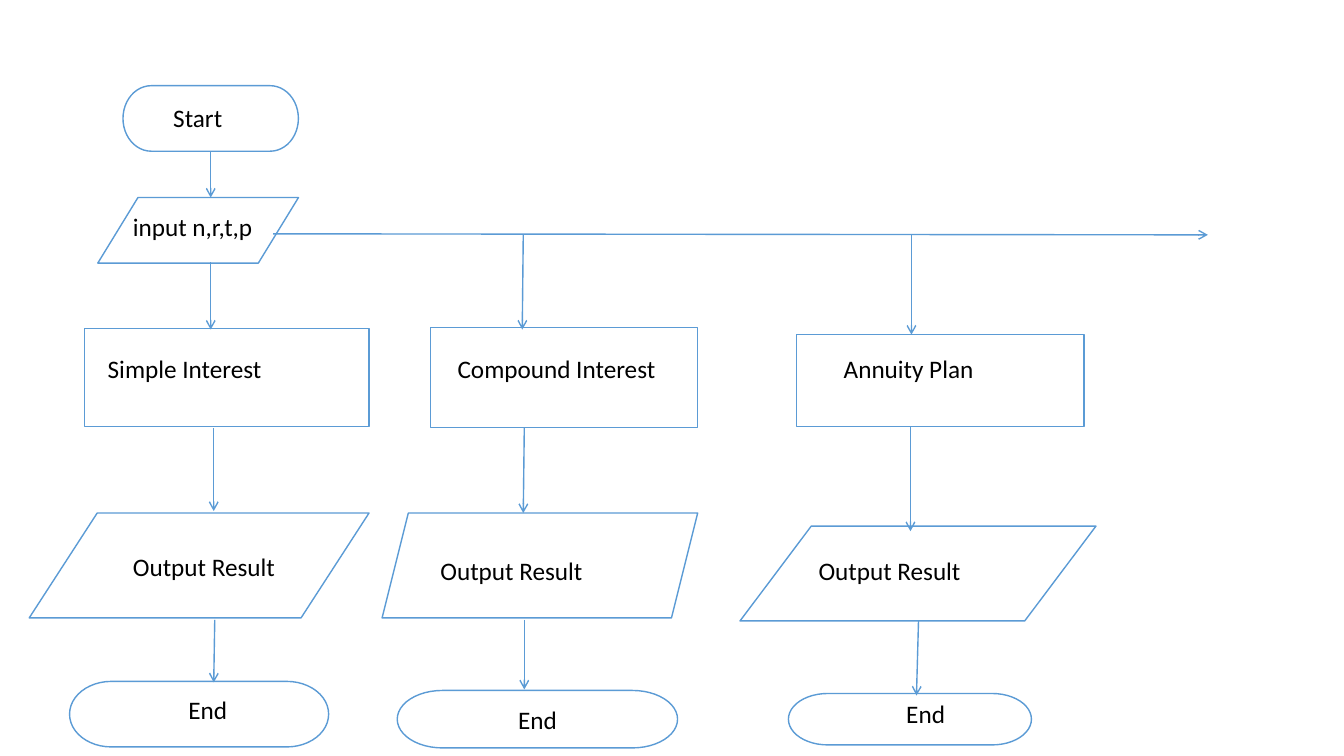
import pptx
import pptx.util
import pptx.dml.color
import pptx.enum.shapes
import pptx.enum.text
import pptx.oxml.ns
import lxml.etree

Inches = pptx.util.Inches
KIND = pptx.enum.shapes.MSO_SHAPE
BLUE = "5B9BD5"
BLACK = "000000"

# Each branch: node kind, node box, label (None when centred in the node), arrow to the next node
BRANCHES = [
    [
        (KIND.RECTANGLE, (0.84, 3.26, 2.82, 0.97), "Simple Interest", (0.97, 3.46), (2.12, 4.25, 2.12, 5.07)),
        (KIND.FLOWCHART_DATA, (0.29, 5.09, 3.37, 1.04), "Output Result", (1.22, 5.42), (2.13, 6.15, 2.12, 6.77)),
        (KIND.FLOWCHART_TERMINATOR, (0.69, 6.76, 2.57, 0.65), "End", (1.77, 6.84), None),
    ],
    [
        (KIND.RECTANGLE, (4.27, 3.25, 2.65, 0.99), "Compound Interest", (4.44, 3.46), (5.2, 4.24, 5.19, 5.09)),
        (KIND.PARALLELOGRAM, (3.79, 5.09, 3.13, 1.04), "Output Result", (4.27, 5.46), (5.2, 6.15, 5.2, 6.84)),
        (KIND.FLOWCHART_TERMINATOR, (3.94, 6.85, 2.78, 0.57), "End", None, None),
    ],
    [
        (KIND.RECTANGLE, (7.9, 3.32, 2.85, 0.91), "Annuity Plan", (8.27, 3.46), (9.03, 4.23, 9.03, 5.27)),
        (KIND.FLOWCHART_DATA, (7.34, 5.22, 3.53, 0.94), "Output Result", (8.02, 5.46), (9.11, 6.16, 9.09, 6.9)),
        (KIND.FLOWCHART_TERMINATOR, (7.82, 6.88, 2.41, 0.51), "End", (8.89, 6.88), None),
    ],
]


def color(code):
    return pptx.dml.color.RGBColor.from_string(code)


def outline(item):
    item.line.color.rgb = color(BLUE)
    item.line.width = pptx.util.Pt(1)


def write(frame, text):
    frame.word_wrap = True
    run = frame.paragraphs[0].add_run()
    run.text = text
    run.font.size = pptx.util.Pt(18)
    run.font.name = "Calibri"
    run.font.color.rgb = color(BLACK)


def add_label(slide, text, spot):
    box = slide.shapes.add_textbox(*map(Inches, spot), Inches(4.44), Inches(0.4))
    write(box.text_frame, text)


def add_node(slide, kind, box, text, spot):
    """Draw a node; its label sits at spot, or in the node's middle without one."""
    node = slide.shapes.add_shape(kind, *map(Inches, box))
    node.shadow.inherit = False
    node.fill.background()
    outline(node)
    if spot:
        add_label(slide, text, spot)
    else:
        write(node.text_frame, text)
        node.text_frame.vertical_anchor = pptx.enum.text.MSO_ANCHOR.MIDDLE
        node.text_frame.paragraphs[0].alignment = pptx.enum.text.PP_ALIGN.CENTER
    return node


def add_arrow(slide, ends):
    arrow = slide.shapes.add_connector(
        pptx.enum.shapes.MSO_CONNECTOR.STRAIGHT, *map(Inches, ends))
    outline(arrow)
    qn = pptx.oxml.ns.qn
    tail = lxml.etree.SubElement(arrow.line._get_or_add_ln(), qn("a:tailEnd"))
    tail.set("type", "arrow")
    lxml.etree.SubElement(arrow._element.spPr, qn("a:effectLst"))
    return arrow


def add_branch(slide, steps):
    for kind, box, text, spot, ends in steps:
        add_node(slide, kind, box, text, spot)
        if ends:
            add_arrow(slide, ends)


def main():
    deck = pptx.Presentation()
    deck.slide_width = Inches(13.33)
    deck.slide_height = Inches(7.5)
    slide = deck.slides.add_slide(deck.slide_layouts[6])

    start = add_node(slide, KIND.FLOWCHART_TERMINATOR, (1.22, 0.85, 1.74, 0.65), "Start", (1.62, 0.97))
    add_arrow(slide, (2.09, 1.5, 2.09, 1.96)).begin_connect(start, 2)
    add_node(slide, KIND.FLOWCHART_DATA, (0.97, 1.96, 1.99, 0.65), "input n,r,t,p", (1.22, 2.05))

    add_arrow(slide, (2.71, 2.32, 11.98, 2.33))
    for ends in [(2.09, 2.6, 2.09, 3.27), (5.19, 2.33, 5.18, 3.27), (9.04, 2.33, 9.04, 3.32)]:
        add_arrow(slide, ends)
    for steps in BRANCHES:
        add_branch(slide, steps)

    deck.save("out.pptx")


if __name__ == "__main__":
    main()
